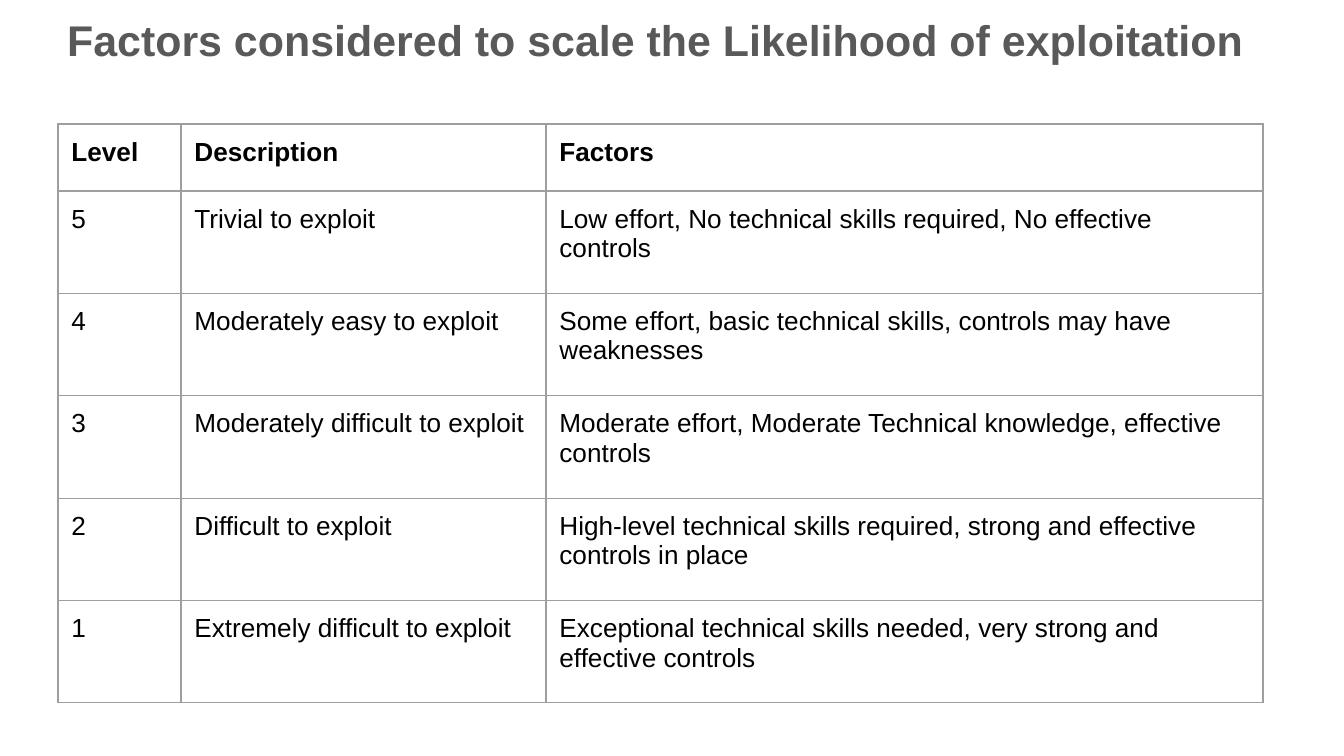
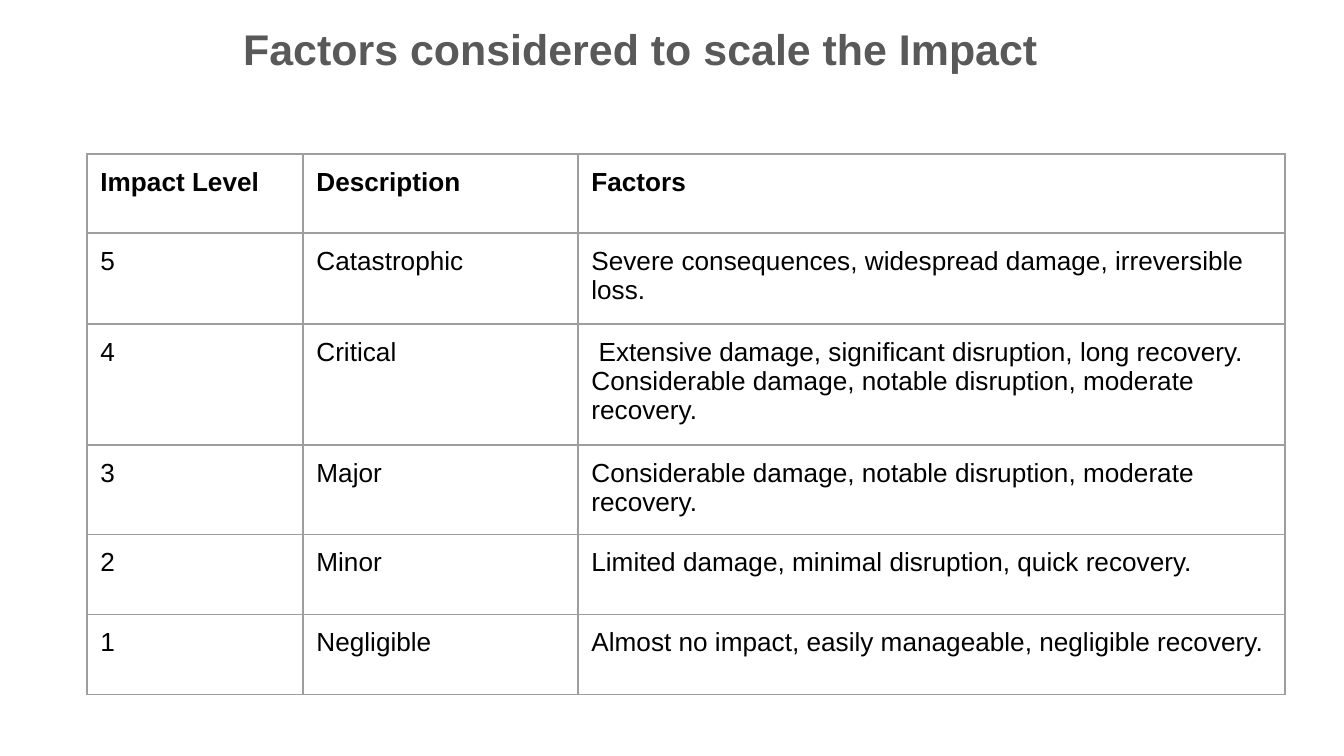
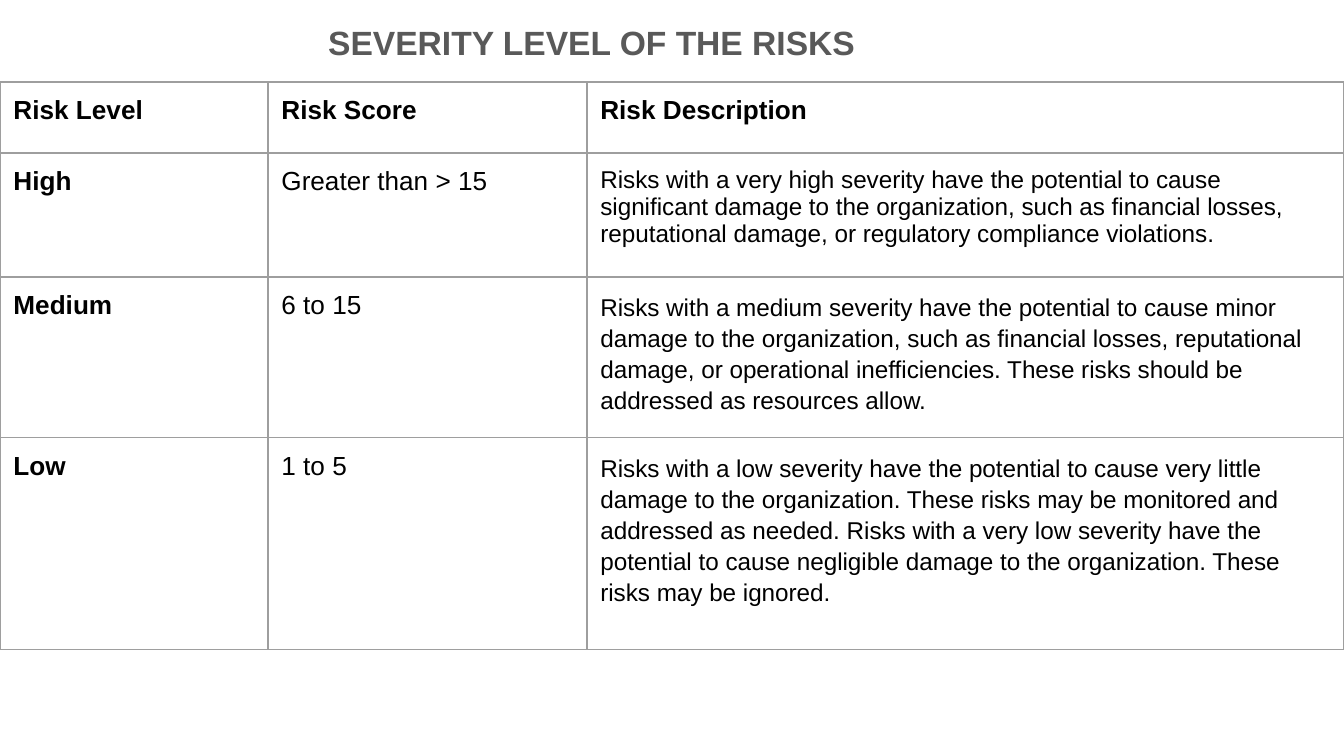
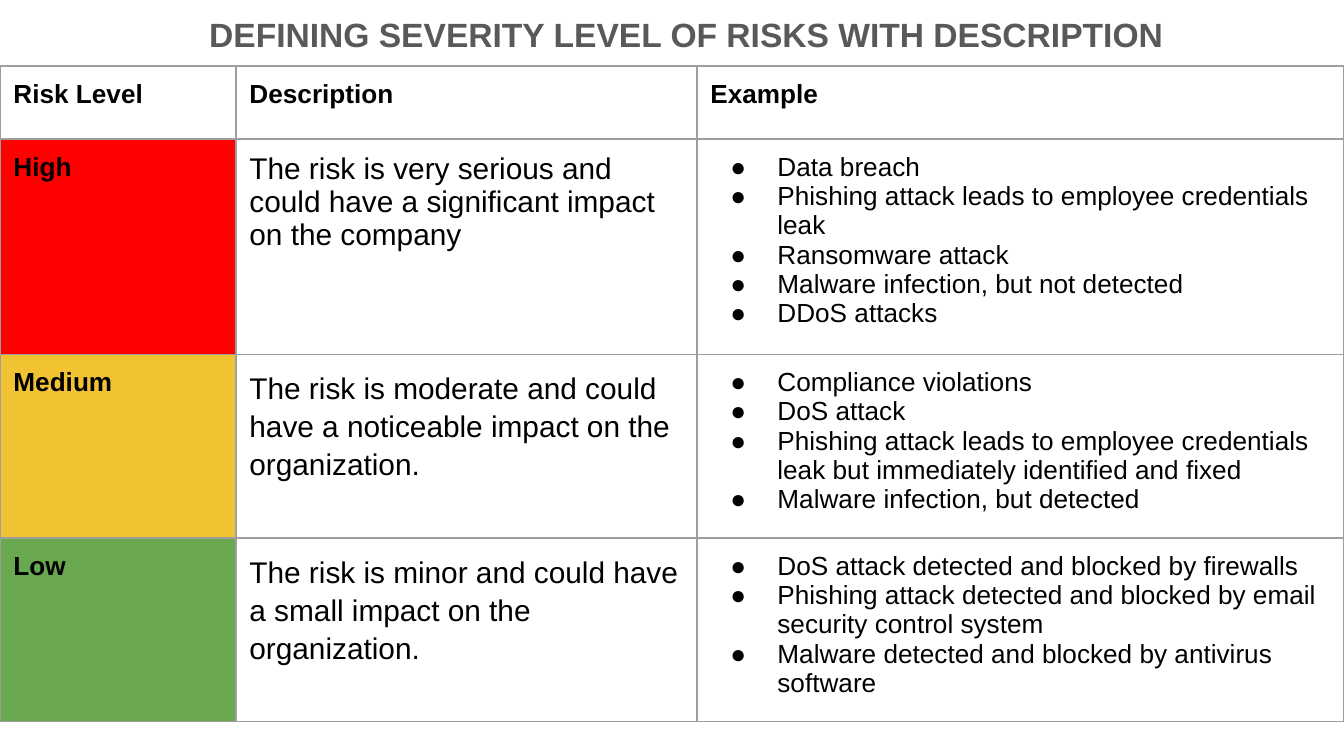
from dataclasses import dataclass

from lxml.etree import SubElement
from pptx import Presentation
from pptx.dml.color import RGBColor
from pptx.enum.text import MSO_ANCHOR
from pptx.oxml import parse_xml
from pptx.oxml.ns import nsdecls, qn
from pptx.util import Inches, Pt

SCALE = Inches(10) / 1344


@dataclass(frozen=True)
class Theme:
    """Colours, type sizes and spacing shared by all slides."""
    font: str = "Arial"
    ink: str = "000000"
    title: str = "595959"
    rule: str = "9E9E9E"
    high: str = "FF0000"
    mid: str = "F1C232"
    low: str = "6AA84F"
    large: int = 23
    head: int = 18
    lead: int = 16
    body: int = 14
    small: int = 13
    loose: float = 1.15
    pad: float = 0.1


THEME = Theme()


def px(num):
    """Turn px into EMU."""
    return round(num * SCALE)


def text(frame, words, size=THEME.body, color=THEME.ink, bold=False,
         gap=None, left=0, hang=0, mark=None):
    """Write one paragraph for each string in words."""
    lines = [words] if isinstance(words, str) else words
    for num, line in enumerate(lines):
        para = frame.add_paragraph() if num else frame.paragraphs[0]
        if gap:
            para.line_spacing = gap
        props = para._p.get_or_add_pPr()
        props.set("marL", str(px(left)))
        props.set("indent", str(px(-hang)))
        if mark:
            tint = SubElement(props, qn("a:buClr"))
            SubElement(tint, qn("a:srgbClr")).set("val", color)
            SubElement(props, qn("a:buFont")).set("typeface", THEME.font)
            SubElement(props, qn("a:buChar")).set("char", mark)
        run = para.add_run()
        run.text = line
        font = run.font
        font.name, font.size, font.bold = THEME.font, Pt(size), bold
        font.color.rgb = RGBColor.from_string(color)


def inset(item):
    """Give a text frame or cell the shared margins."""
    for side in ("left", "right", "top", "bottom"):
        setattr(item, f"margin_{side}", Inches(THEME.pad))


def title(slide, words, box, left, size):
    """Add the bold grey title, indented from the left of its box."""
    frame = slide.shapes.add_textbox(*map(px, box)).text_frame
    frame.word_wrap = True
    frame.vertical_anchor = MSO_ANCHOR.TOP
    inset(frame)
    text(frame, words, size=size, color=THEME.title, bold=True, left=left)


def border(cell):
    """Draw the thin rule on all four sides of a cell."""
    props = cell._tc.get_or_add_tcPr()
    for num, side in enumerate("LRTB"):
        props.insert(num, parse_xml(
            f'<a:ln{side} {nsdecls("a")} w="{Pt(0.75)}"><a:solidFill>'
            f'<a:srgbClr val="{THEME.rule}"/></a:solidFill></a:ln{side}>'))


def paint(cell, tint):
    """Fill a cell with a tint, or leave it clear."""
    if tint:
        cell.fill.solid()
        cell.fill.fore_color.rgb = RGBColor.from_string(tint)
    else:
        cell.fill.background()


def table(slide, spot, wide, high, rows, keys=False, prose=(), tints=()):
    """Add a ruled table; keys makes column one bold, prose is (column, size)."""
    area = (*spot, sum(wide), sum(high))
    grid = slide.shapes.add_table(len(rows), len(wide), *map(px, area)).table
    grid.first_row = grid.horz_banding = False
    for col, width in zip(grid.columns, wide):
        col.width = px(width)
    for row, height in zip(grid.rows, high):
        row.height = px(height)
    for y, row in enumerate(rows):
        for x, words in enumerate(row):
            cell = grid.cell(y, x)
            inset(cell)
            look = {"bold": y == 0 or (keys and x == 0)}
            if y and prose and x == prose[0]:
                look.update(size=prose[1], gap=THEME.loose if y > 1 else None)
            if not isinstance(words, str):
                look.update(left=67, hang=47, mark="●")
            text(cell.text_frame, words, **look)
            paint(cell, tints[y - 1] if tints and y and x == 0 else None)
            border(cell)


def chance(slide):
    """Build the likelihood slide."""
    title(slide, "Factors considered to scale the Likelihood of exploitation",
          (8, 0, 1328, 97), 46, THEME.large)
    table(slide, (58, 124), (123, 365, 717), (67, *[102.4] * 5), [
        ("Level", "Description", "Factors"),
        ("5", "Trivial to exploit",
         "Low effort, No technical skills required, No effective controls"),
        ("4", "Moderately easy to exploit",
         "Some effort, basic technical skills, controls may have weaknesses"),
        ("3", "Moderately difficult to exploit",
         "Moderate effort, Moderate Technical knowledge, effective controls"),
        ("2", "Difficult to exploit",
         "High-level technical skills required, strong and effective "
         "controls in place"),
        ("1", "Extremely difficult to exploit",
         "Exceptional technical skills needed, very strong and effective "
         "controls"),
    ])


def impact(slide):
    """Build the impact slide."""
    title(slide, "Factors considered to scale the Impact",
          (40, 9, 1262, 75), 190, THEME.large)
    table(slide, (87, 154), (216, 275, 707), (79, 91, 115, 85, 80, 80), [
        ("Impact Level", "Description", "Factors"),
        ("5", "Catastrophic",
         "Severe consequences, widespread damage, irreversible loss."),
        ("4", "Critical",
         " Extensive damage, significant disruption, long recovery. "
         "Considerable damage, notable disruption, moderate recovery."),
        ("3", "Major",
         "Considerable damage, notable disruption, moderate recovery."),
        ("2", "Minor", "Limited damage, minimal disruption, quick recovery."),
        ("1", "Negligible",
         "Almost no impact, easily manageable, negligible recovery."),
    ])


def score(slide):
    """Build the severity score slide."""
    title(slide, "SEVERITY LEVEL OF THE RISKS",
          (35, 8, 1210, 95), 280, THEME.head)
    table(slide, (0, 82), (268, 319, 757), (71, 124, 159, 212), [
        ("Risk Level", "Risk Score", "Risk Description"),
        ("High", "Greater than > 15",
         "Risks with a very high severity have the potential to cause "
         "significant damage to the organization, such as financial losses, "
         "reputational damage, or regulatory compliance violations."),
        ("Medium", "6 to 15",
         "Risks with a medium severity have the potential to cause minor "
         "damage to the organization, such as financial losses, reputational "
         "damage, or operational inefficiencies. These risks should be "
         "addressed as resources allow."),
        ("Low", "1 to 5",
         "Risks with a low severity have the potential to cause very little "
         "damage to the organization. These risks may be monitored and "
         "addressed as needed. Risks with a very low severity have the "
         "potential to cause negligible damage to the organization. These "
         "risks may be ignored."),
    ], keys=True, prose=(2, THEME.small))


def cases(slide):
    """Build the severity examples slide."""
    title(slide, "DEFINING SEVERITY LEVEL OF RISKS WITH DESCRIPTION",
          (28, 0, 1286, 66), 168, THEME.head)
    table(slide, (0, 66), (236, 461, 647), (73, 203, 173, 175), [
        ("Risk Level", "Description", "Example"),
        ("High",
         "The risk is very serious and could have a significant impact on "
         "the company",
         ["Data breach",
          "Phishing attack leads to employee credentials leak",
          "Ransomware attack",
          "Malware infection, but not detected",
          "DDoS attacks"]),
        ("Medium",
         "The risk is moderate and could have a noticeable impact on the "
         "organization.",
         ["Compliance violations",
          "DoS attack",
          "Phishing attack leads to employee credentials leak but "
          "immediately identified and fixed",
          "Malware infection, but detected"]),
        ("Low",
         "The risk is minor and could have a small impact on the "
         "organization.",
         ["DoS attack detected and blocked by firewalls",
          "Phishing attack detected and blocked by email security control "
          "system",
          "Malware detected and blocked by antivirus software"]),
    ], keys=True, prose=(1, THEME.lead),
        tints=(THEME.high, THEME.mid, THEME.low))


def main():
    """Build the four slides and save them."""
    deck = Presentation()
    deck.slide_width, deck.slide_height = px(1344), px(756)
    for build in (chance, impact, score, cases):
        build(deck.slides.add_slide(deck.slide_layouts[6]))
    deck.save("out.pptx")


if __name__ == "__main__":
    main()
